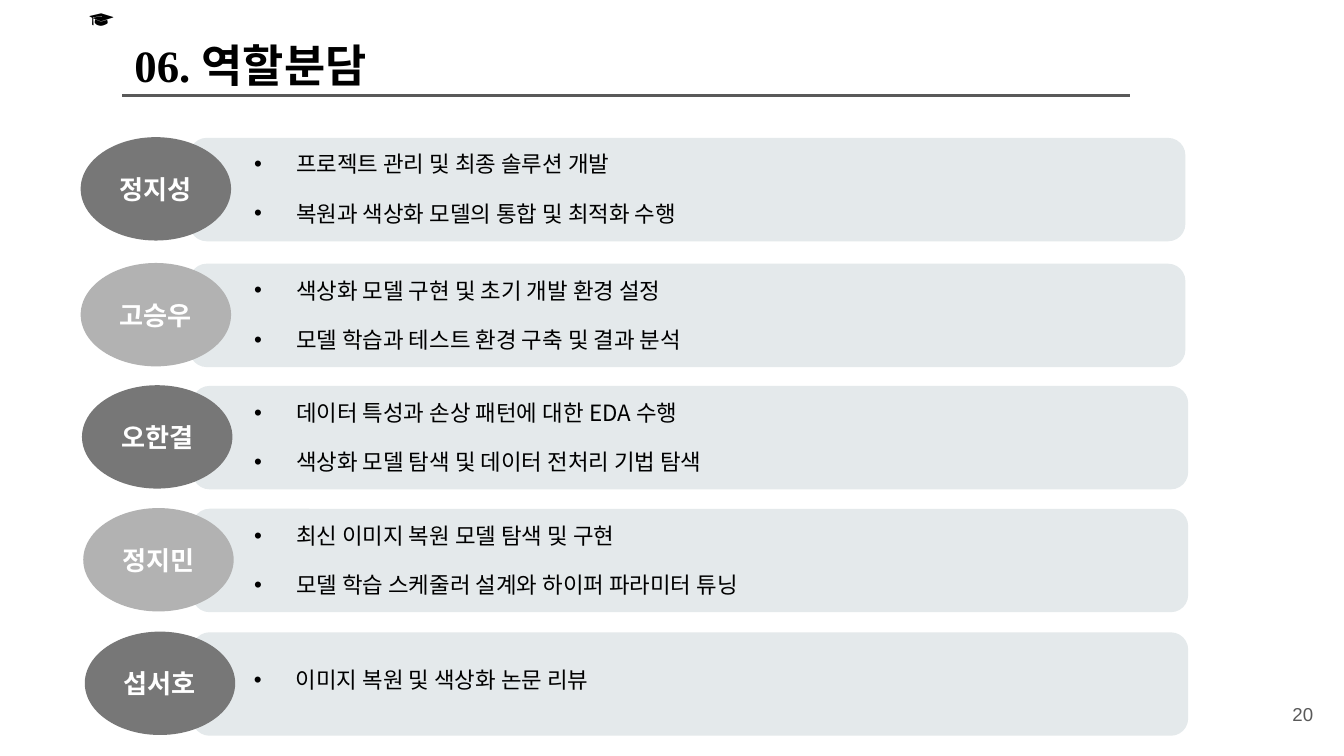
from lxml import etree
from pptx import Presentation
from pptx.dml.color import RGBColor
from pptx.enum.shapes import MSO_CONNECTOR, MSO_SHAPE
from pptx.enum.text import MSO_ANCHOR, MSO_AUTO_SIZE, PP_ALIGN
from pptx.oxml.ns import qn
from pptx.util import Pt

LEFT, CENTER, RIGHT = PP_ALIGN.LEFT, PP_ALIGN.CENTER, PP_ALIGN.RIGHT
TOP, MIDDLE = MSO_ANCHOR.TOP, MSO_ANCHOR.MIDDLE
NO_AUTOFIT = MSO_AUTO_SIZE.NONE
ROUNDED, OVAL = MSO_SHAPE.ROUNDED_RECTANGLE, MSO_SHAPE.OVAL
STRAIGHT = MSO_CONNECTOR.STRAIGHT

COLORS = {"black": "000000", "white": "FFFFFF", "gray": "595959",
          "panel": "E4E9EB", "dark": "777777", "light": "B2B2B2"}
KOREAN, SERIF, SANS = "Noto Sans CJK KR", "Times New Roman", "Arial"
COMPARISON_LAYOUT = 4
ROW_HEIGHT = 55.4

# Name, oval left, panel left, row top, list top, tasks
MEMBERS = [
    ("정지성", 43.2, 101.5, 73.9, 77,
     ["프로젝트 관리 및 최종 솔루션 개발", "복원과 색상화 모델의 통합 및 최적화 수행"]),
    ("고승우", 43.2, 101.5, 141.3, 144.7,
     ["색상화 모델 구현 및 초기 개발 환경 설정", "모델 학습과 테스트 환경 구축 및 결과 분석"]),
    ("오한결", 43.9, 103, 206.8, 210.2,
     ["데이터 특성과 손상 패턴에 대한 EDA 수행", "색상화 모델 탐색 및 데이터 전처리 기법 탐색"]),
    ("정지민", 44.6, 103, 272.6, 276,
     ["최신 이미지 복원 모델 탐색 및 구현", "모델 학습 스케줄러 설계와 하이퍼 파라미터 튜닝"]),
    ("섭서호", 45.4, 103, 338.8, 353.5,
     ["이미지 복원 및 색상화 논문 리뷰"]),
]


def rgb(name):
    return RGBColor.from_string(COLORS[name])


def place(sp, left, top, width, height):
    sp.left, sp.top = Pt(left), Pt(top)
    sp.width, sp.height = Pt(width), Pt(height)


def setup_frame(sp, anchor=TOP, inset=3.6):
    tf = sp.text_frame
    tf.word_wrap = True
    tf.auto_size = NO_AUTOFIT
    tf.vertical_anchor = anchor
    tf.margin_left = tf.margin_right = Pt(7.2)
    tf.margin_top = tf.margin_bottom = Pt(inset)
    return tf


def add_run(p, text, size, font, color, bold=False):
    r = p.add_run()
    r.text = text
    r.font.size, r.font.bold = Pt(size), bold
    r.font.color.rgb = rgb(color)
    r.font.name = font
    etree.SubElement(r.font._element, qn("a:ea"), typeface=font)


def add_text(s, box, text, size, color, align=LEFT, anchor=TOP, inset=3.6):
    sp = s.shapes.add_textbox(*(Pt(v) for v in box))
    p = setup_frame(sp, anchor, inset).paragraphs[0]
    p.alignment = align
    add_run(p, text, size, SANS, color)


def add_block(s, kind, box, color):
    sp = s.shapes.add_shape(kind, *(Pt(v) for v in box))
    sp.shadow.inherit = False
    sp.fill.solid()
    sp.fill.fore_color.rgb = rgb(color)
    sp.line.fill.background()
    return sp


def add_name(s, box, name, color):
    sp = add_block(s, OVAL, box, color)
    p = setup_frame(sp, MIDDLE).paragraphs[0]
    p.alignment = CENTER
    add_run(p, name, 14, KOREAN, "white", True)


def add_bullet(p):
    pPr = p._p.get_or_add_pPr()
    pPr.set("marL", str(Pt(22.5)))
    pPr.set("indent", str(-Pt(22.5)))
    color = etree.SubElement(pPr, qn("a:buClr"))
    etree.SubElement(color, qn("a:srgbClr"), val=COLORS["black"])
    etree.SubElement(pPr, qn("a:buFont"), typeface=SANS)
    etree.SubElement(pPr, qn("a:buChar"), char="•")


def fill_list(sp, top, tasks):
    # Bring the list in front of its panel
    sp.element.getparent().append(sp.element)
    place(sp, 128.9, top, 445, 26.4 * len(tasks) - 4.8)
    tf = setup_frame(sp)
    for i, task in enumerate(tasks):
        p = tf.add_paragraph() if i else tf.paragraphs[0]
        p.alignment = LEFT
        p.line_spacing = Pt(14.4)
        p.space_before = Pt(12 if i else 0)
        p.space_after = Pt(0)
        add_bullet(p)
        add_run(p, task, 12, KOREAN, "black")


def add_title(s):
    sp = s.shapes.title
    place(sp, 64.8, 10.8, 518.4, 36)
    p = setup_frame(sp, TOP, 7.2).paragraphs[0]
    p.alignment = LEFT
    p.line_spacing = Pt(31.2)
    add_run(p, "06. ", 24, SERIF, "black", True)
    add_run(p, "역할분담", 24, KOREAN, "black", True)


def add_rule(s):
    line = s.shapes.add_connector(STRAIGHT, Pt(65.5), Pt(51), Pt(605.5), Pt(51))
    line.line.color.rgb = rgb("gray")
    line.line.width = Pt(1.5)
    etree.SubElement(line.element.spPr, qn("a:effectLst"))


def main():
    prs = Presentation()
    prs.slide_width, prs.slide_height = Pt(720), Pt(405)
    s = prs.slides.add_slide(prs.slide_layouts[COMPARISON_LAYOUT])

    # Heading
    add_rule(s)
    add_text(s, (40.3, -2.9, 360, 24.5), "🎓️", 14, "black")
    add_title(s)

    # The layout has four body placeholders; the last list gets a text box
    lists = [sp for sp in s.placeholders if sp.placeholder_format.idx > 0]
    lists.append(s.shapes.add_textbox(0, 0, 0, 0))

    # One row per member
    for i, (member, sp) in enumerate(zip(MEMBERS, lists)):
        name, oval_left, panel_left, top, list_top, tasks = member
        add_block(s, ROUNDED, (panel_left, top, 533.5, ROW_HEIGHT), "panel")
        add_name(s, (oval_left, top - 0.4, 80.6, ROW_HEIGHT), name,
                 "light" if i % 2 else "dark")
        fill_list(sp, list_top, tasks)

    # Page number
    add_text(s, (667.4, 367.2, 43.2, 31), "20", 10, "gray", RIGHT, MIDDLE, 7.2)
    prs.save("out.pptx")


if __name__ == "__main__":
    main()
